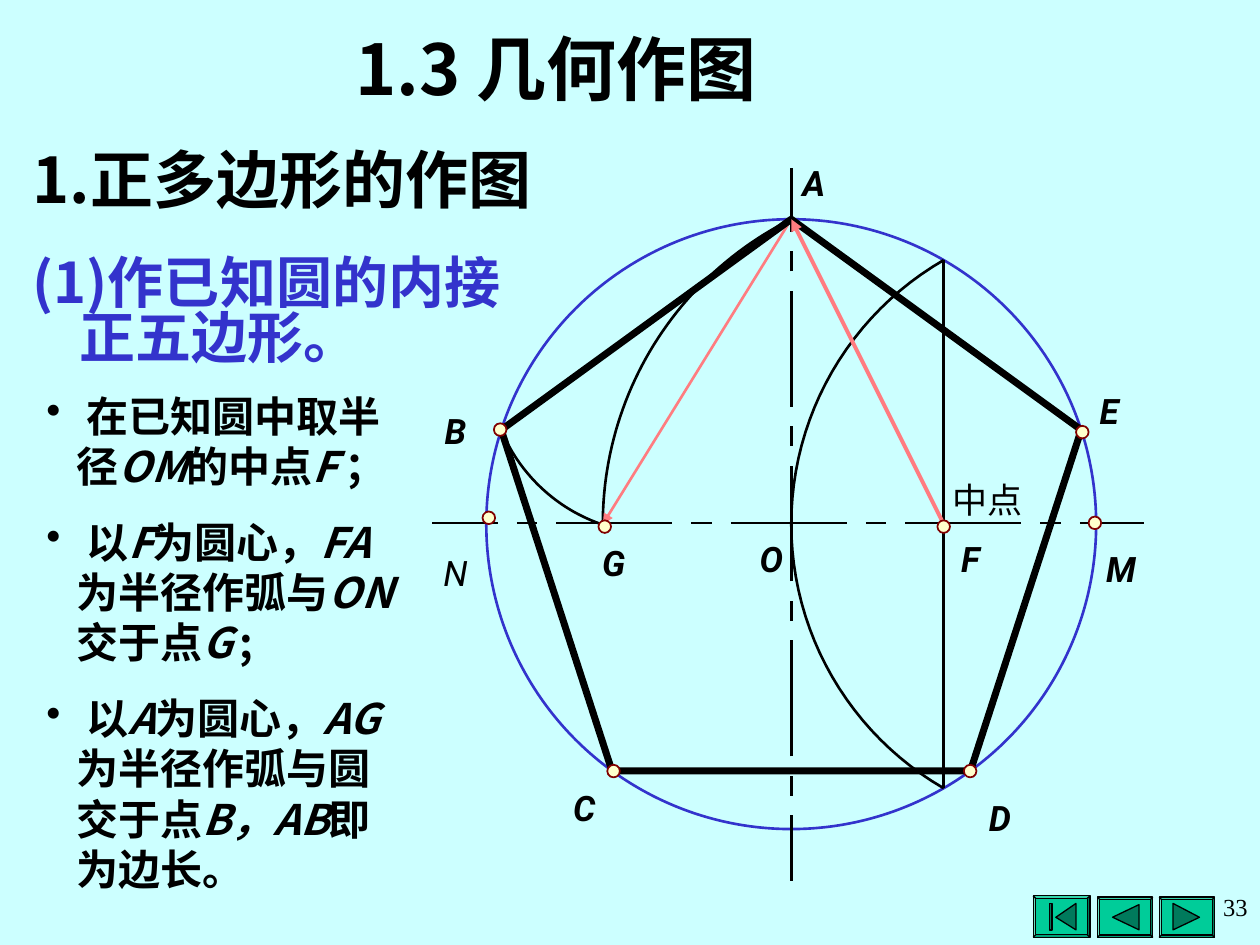
"""Build the slide on drawing a regular pentagon inside a given circle."""
from math import atan2, cos, dist, pi, radians, sin

from lxml import etree
from pptx import Presentation
from pptx.dml.color import RGBColor
from pptx.enum.shapes import MSO_CONNECTOR, MSO_SHAPE
from pptx.enum.text import PP_ALIGN
from pptx.oxml.ns import qn
from pptx.util import Inches, Pt

STRAIGHT = MSO_CONNECTOR.STRAIGHT
OVAL, BEVEL = MSO_SHAPE.OVAL, MSO_SHAPE.BEVEL
LEFT, CENTER, RIGHT = PP_ALIGN.LEFT, PP_ALIGN.CENTER, PP_ALIGN.RIGHT

SKY = RGBColor(0xCC, 0xFF, 0xFF)
BLACK = RGBColor(0, 0, 0)
BLUE = RGBColor(0x33, 0x33, 0xCC)
PINK = RGBColor(0xFF, 0x7C, 0x80)
CREAM = RGBColor(0xFF, 0xFF, 0xCC)
MAROON = RGBColor(0x80, 0, 0)
GREEN = RGBColor(0, 0xCC, 0x99)
DARK_GREEN = RGBColor(0, 0x7A, 0x5C)

NOTO, ROBOTO, TIMES = "Noto Sans CJK SC", "Roboto", "Times New Roman"

TITLE = "1.3 几何作图"
HEADING = [("1.", {}), ("正多边形的作图", {"name": TIMES})]
TASK = "(1)作已知圆的内接正五边形。"
ITALIC, NARROW = {"italic": True}, {"italic": True, "size": Pt(18)}
STEPS = [
    [(" 在已知圆中取半径", {}), ("OM", ITALIC), ("的中点", {}), ("F", ITALIC),
     (" ", NARROW), ("；", {})],
    [(" 以", {}), ("F", ITALIC), ("为圆心，", {}), ("FA", ITALIC), ("为半径作弧与", {}),
     ("ON", ITALIC), ("交于点", {}), ("G", ITALIC), (" ", NARROW), (";", {})],
    [(" 以", {}), ("A", ITALIC), ("为圆心，", {}), ("AG", ITALIC),
     ("为半径作弧与圆交于点", {}), ("B，AB", ITALIC), ("即为边长。", {})],
]
LABELS = [
    ("E", 8.63, 3.04, 0.47), ("F", 7.53, 4.22, 0.35), ("D", 7.75, 6.27, 0.39),
    ("O", 5.93, 4.22, 0.4), ("A", 6.27, 1.23, 0.37), ("B", 3.43, 3.2, 0.37),
    ("C", 4.45, 6.19, 0.37), ("G", 4.68, 4.25, 0.39), ("M", 8.68, 4.3, 0.44),
    ("N", 3.42, 4.33, 0.39),
]
DOTS = [(4.8, 4.18), (7.49, 4.18), (3.97, 3.41), (4.87, 6.12),
        (8.59, 3.43), (7.7, 6.12), (8.69, 4.15), (3.88, 4.11)]
DASHES = [0.52, 0.16, 0.92, 0.16, 0.92, 0.16, 0.92, 0.16, 0.51]
BUTTONS = [
    (8.2, 7.11, 0.45, 0.33, [[(8.38, 7.28), (8.54, 7.17), (8.54, 7.38)],
                             [(8.33, 7.17), (8.35, 7.17), (8.35, 7.38), (8.33, 7.38)]]),
    (8.71, 7.12, 0.44, 0.32, [[(8.83, 7.28), (9.04, 7.18), (9.04, 7.38)]]),
    (9.2, 7.12, 0.44, 0.32, [[(9.31, 7.17), (9.52, 7.28), (9.31, 7.38)]]),
]

O, RADIUS = (6.28, 4.16), 2.42
SIDE_ARC_CENTER = (5.21, 2.9)


def around(center, radius, angle):
    return center[0] + radius * cos(angle), center[1] + radius * sin(angle)


A, B, C, D, E = PENTAGON = [around(O, RADIUS, radians(-90 - 72 * i)) for i in range(5)]
M = (O[0] + RADIUS, O[1])
F = (O[0] + RADIUS / 2, O[1])
G = (F[0] - dist(F, A), O[1])
CHORD_TOP = around(M, RADIUS, radians(-120))
CHORD_BOTTOM = around(M, RADIUS, radians(120))


def paint(shape, fill, line, width):
    shape.shadow.inherit = False
    if fill is None:
        shape.fill.background()
    else:
        shape.fill.solid()
        shape.fill.fore_color.rgb = fill
    shape.line.color.rgb = line
    shape.line.width = Pt(width)


def add_preset(shapes, kind, box, fill, line, width):
    shape = shapes.add_shape(kind, *map(Inches, box))
    paint(shape, fill, line, width)
    return shape


def add_path(shapes, points, closed=False, fill=None, width=1.5):
    corners = [(Inches(x), Inches(y)) for x, y in points]
    builder = shapes.build_freeform(*corners[0])
    builder.add_line_segments(corners[1:], close=closed)
    paint(builder.convert_to_shape(), fill, BLACK, width)


def add_arc(shapes, center, start, end, steps=48):
    first, last = (atan2(y - center[1], x - center[0]) % (2 * pi) for x, y in (start, end))
    sweep = (last - first) / steps
    add_path(shapes, [around(center, dist(center, start), first + sweep * i)
                      for i in range(steps + 1)])


def add_line(shapes, start, end, color=BLACK, width=1.5, arrow=False):
    line = shapes.add_connector(STRAIGHT, *map(Inches, (*start, *end)))
    line.line.color.rgb = color
    line.line.width = Pt(width)
    if arrow:
        etree.SubElement(line.line._get_or_add_ln(), qn("a:tailEnd"), type="triangle")
    etree.SubElement(line._element.spPr, qn("a:effectLst"))


def add_axis(shapes, start, end):
    axis = shapes.add_group_shape()
    length = dist(start, end)
    gap = (length - sum(DASHES)) / (len(DASHES) - 1)
    offset = 0
    for dash in DASHES:
        ends = [tuple(s + (e - s) * at / length for s, e in zip(start, end))
                for at in (offset, offset + dash)]
        add_line(axis.shapes, *ends)
        offset += dash + gap


def add_text(shapes, box, paragraphs, size, font=NOTO, color=BLACK, bold=True, italic=False,
             align=LEFT, wrap=True, leading=None, before=0, hang=0, bullet=False):
    frame = shapes.add_textbox(*map(Inches, box)).text_frame
    frame.word_wrap = wrap
    for index, runs in enumerate(paragraphs):
        paragraph = frame.paragraphs[0] if index == 0 else frame.add_paragraph()
        paragraph.alignment = align
        if leading:
            paragraph.line_spacing = Pt(leading)
        if index:
            paragraph.space_before = Pt(before)
        properties = paragraph._p.get_or_add_pPr()
        if hang:
            properties.set("marL", str(Inches(hang)))
            properties.set("indent", str(-Inches(hang)))
        if bullet:
            etree.SubElement(properties, qn("a:buChar"), char="•")
        for text, changes in runs:
            run = paragraph.add_run()
            run.text = text
            style = {"name": font, "size": Pt(size), "bold": bold, "italic": italic, **changes}
            for key, value in style.items():
                setattr(run.font, key, value)
            run.font.color.rgb = color
            etree.SubElement(run._r.get_or_add_rPr(), qn("a:ea"), typeface=NOTO)


def main():
    deck = Presentation()
    deck.slide_width, deck.slide_height = Inches(10), Inches(7.5)
    slide = deck.slides.add_slide(deck.slide_layouts[6])
    slide.background.fill.solid()
    slide.background.fill.fore_color.rgb = SKY
    shapes = slide.shapes

    for *box, icons in BUTTONS:
        button = add_preset(shapes, BEVEL, box, GREEN, BLACK, 0.75)
        button.adjustments[0] = 0.06
        for icon in icons:
            add_path(shapes, icon, True, DARK_GREEN, 0.75)

    add_text(shapes, (0.16, 2.02, 4.29, 0.96), [[(TASK, {})]], 32, color=BLUE,
             leading=31, hang=0.37)
    add_text(shapes, (0.16, 1.07, 6.18, 0.7), [HEADING], 36, leading=43)

    circle = (O[0] - RADIUS, O[1] - RADIUS, 2 * RADIUS, 2 * RADIUS)
    add_preset(shapes, OVAL, circle, None, BLUE, 1.5)
    add_axis(shapes, (3.43, 4.15), (9.08, 4.15))
    add_axis(shapes, (6.28, 6.99), (6.28, 1.33))
    add_arc(shapes, M, CHORD_TOP, CHORD_BOTTOM)
    add_line(shapes, CHORD_TOP, CHORD_BOTTOM)
    add_arc(shapes, F, A, G)
    add_line(shapes, A, G, PINK, arrow=True)
    add_path(shapes, PENTAGON, closed=True, width=4)
    add_arc(shapes, SIDE_ARC_CENTER, B, G)
    add_line(shapes, F, A, PINK, 2.25, arrow=True)
    for x, y in DOTS:
        add_preset(shapes, OVAL, (x - 0.05, y - 0.05, 0.1, 0.1), CREAM, MAROON, 1)

    add_text(shapes, (7.42, 3.75, 0.83, 0.44), [[("中点", {})]], 20, TIMES, bold=False,
             align=CENTER, leading=24)
    add_text(shapes, (2.72, 0.15, 4.02, 0.77), [[(TITLE, {})]], 40, leading=48)
    add_text(shapes, (0.27, 3.05, 2.95, 4.45), STEPS, 24, leading=28.6, before=15,
             hang=0.24, bullet=True)
    for letter, left, top, width in LABELS:
        add_text(shapes, (left, top, width, 0.44), [[(letter, {})]], 20, ROBOTO,
                 bold=letter != "N", italic=True, wrap=False)
    add_text(shapes, (7.48, 7.03, 2.52, 0.47), [[("33", {})]], 14, TIMES, bold=False,
             align=RIGHT)
    deck.save("out.pptx")


if __name__ == "__main__":
    main()
